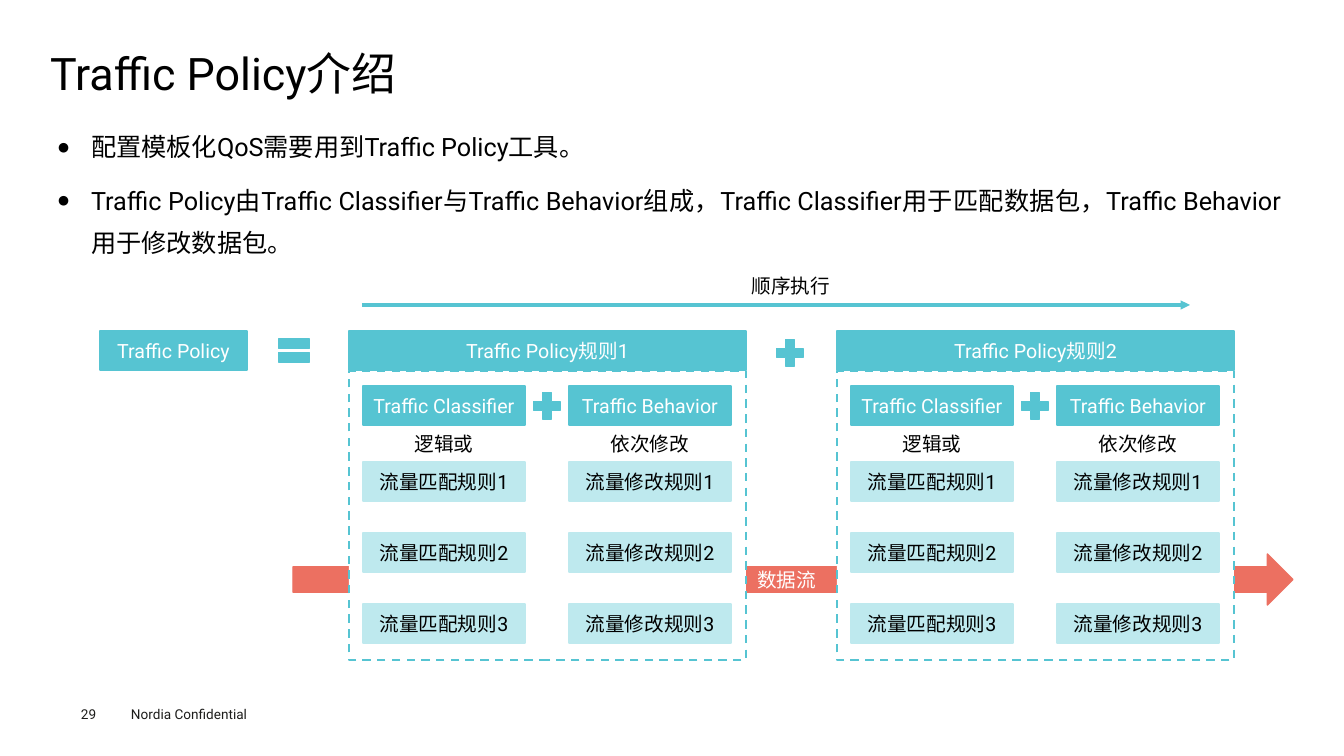
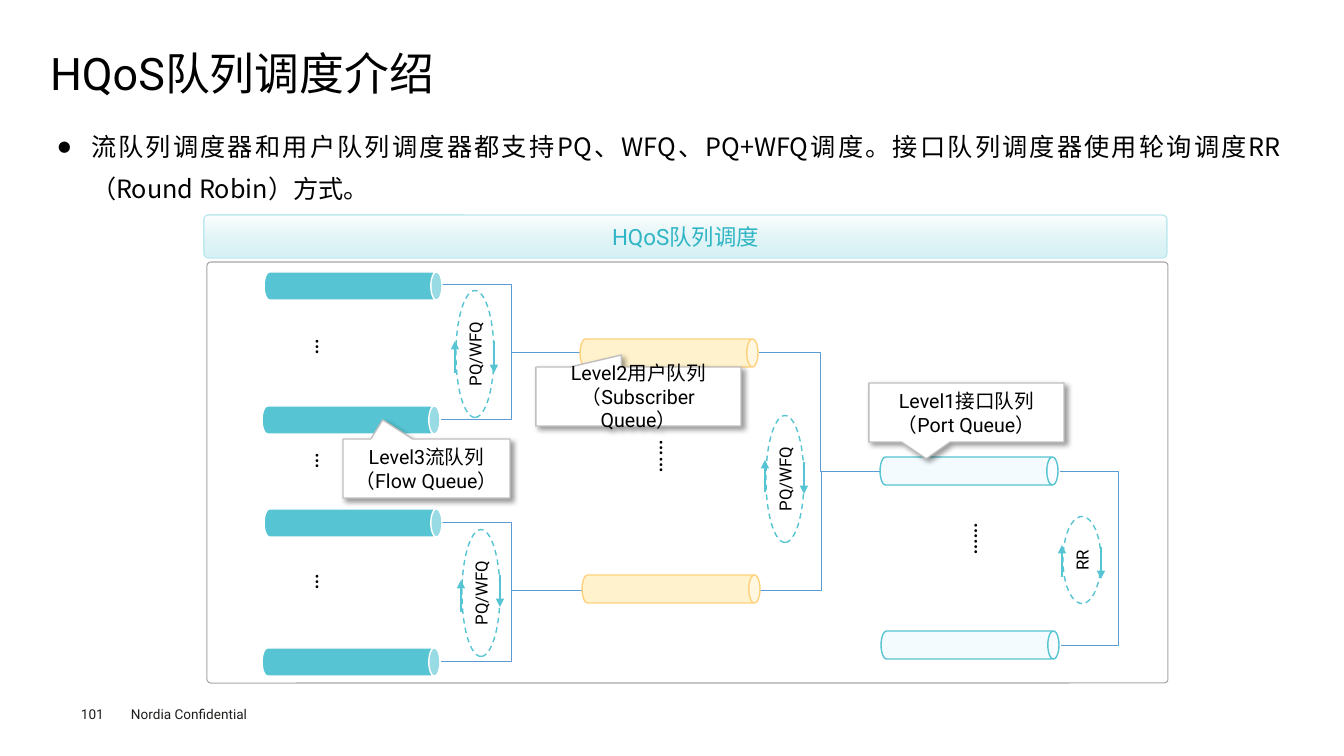
from lxml import etree
from pptx import Presentation
from pptx.dml.color import RGBColor
from pptx.enum.dml import MSO_LINE
from pptx.enum.shapes import MSO_CONNECTOR, MSO_SHAPE
from pptx.enum.text import MSO_ANCHOR, MSO_AUTO_SIZE, PP_ALIGN
from pptx.oxml.ns import qn
from pptx.util import Pt

EMU_PER_PX = 914400 / 100.8

# Shared colours and fonts
BLACK = RGBColor(0x00, 0x00, 0x00)
WHITE = RGBColor(0xFF, 0xFF, 0xFF)
FOOTER_GREY = RGBColor(0x1D, 0x1D, 0x1B)
TEAL = RGBColor(0x56, 0xC4, 0xD2)
DARK_TEAL = RGBColor(0x30, 0xB5, 0xC5)
LIGHT_TEAL = RGBColor(0xBE, 0xE9, 0xEE)
PALE_BLUE = RGBColor(0xF4, 0xFB, 0xFE)
CORAL = RGBColor(0xEC, 0x70, 0x61)
CREAM = RGBColor(0xFF, 0xF2, 0xCC)
AMBER = RGBColor(0xFF, 0xD1, 0x7D)
PANEL_GREY = RGBColor(0xA6, 0xA6, 0xA6)
CALLOUT_GREY = RGBColor(0xBF, 0xBF, 0xBF)
WIRE_BLUE = RGBColor(0x5B, 0x9B, 0xD5)
LATIN_FONT = "Roboto"
CHINESE_FONT = "Noto Sans CJK SC"

LEFT, CENTER, JUSTIFY = PP_ALIGN.LEFT, PP_ALIGN.CENTER, PP_ALIGN.JUSTIFY
TOP, MIDDLE = MSO_ANCHOR.TOP, MSO_ANCHOR.MIDDLE
RECTANGLE, ROUNDED = MSO_SHAPE.RECTANGLE, MSO_SHAPE.ROUNDED_RECTANGLE
ELLIPSE, CAN = MSO_SHAPE.OVAL, MSO_SHAPE.CAN
CALLOUT, RIGHT_ARROW = MSO_SHAPE.RECTANGULAR_CALLOUT, MSO_SHAPE.RIGHT_ARROW
PLUS, EQUAL = MSO_SHAPE.MATH_PLUS, MSO_SHAPE.MATH_EQUAL
STRAIGHT, ELBOW = MSO_CONNECTOR.STRAIGHT, MSO_CONNECTOR.ELBOW
DASH = MSO_LINE.DASH

TITLE_BOX = (50, 49, 1241, 53)
BODY_BOX = (49, 116, 1241, 538)
FOOTER_TEXT = "Nordia Confidential"
BULLET_INDENT = 33


def px(length):
    return round(length * EMU_PER_PX)


def add_xml(parent, tag, **attributes):
    element = etree.SubElement(parent, qn(tag))
    for name, value in attributes.items():
        element.set(name, str(value))
    return element


def write_text(frame, text, size=14, color=BLACK, font=LATIN_FONT, align=CENTER,
               anchor=MIDDLE, inset=(10, 5), wrap=True, spacing=None, gap=0,
               bullets=False):
    """Write one paragraph for each line of text."""
    frame.word_wrap = wrap
    frame.auto_size = MSO_AUTO_SIZE.NONE
    frame.vertical_anchor = anchor
    frame.margin_left = frame.margin_right = px(inset[0])
    frame.margin_top = frame.margin_bottom = px(inset[1])
    for index, line in enumerate(text.split("\n")):
        paragraph = frame.add_paragraph() if index else frame.paragraphs[0]
        if bullets:
            properties = paragraph._p.get_or_add_pPr()
            properties.set("marL", str(px(BULLET_INDENT)))
            properties.set("indent", str(-px(BULLET_INDENT)))
            add_xml(properties, "a:buSzPct", val=50000)
            add_xml(properties, "a:buFont", typeface=font)
            add_xml(properties, "a:buChar", char="●")
        paragraph.alignment = align
        paragraph.space_before = Pt(gap if index else 0)
        if spacing:
            paragraph.line_spacing = spacing
        run = paragraph.add_run()
        run.text = line
        run.font.size = Pt(size)
        run.font.color.rgb = color
        run.font.name = font
        add_xml(run._r.get_or_add_rPr(), "a:ea", typeface=font)


def add_text(slide, box, text, vertical=False, **text_format):
    text_box = slide.shapes.add_textbox(*map(px, box))
    write_text(text_box.text_frame, text, **text_format)
    if vertical:
        text_box.text_frame._txBody.bodyPr.set("vert", "eaVert")


def add_shape(slide, kind, box, fill=None, line=None, width=1, dash=None,
              adjust=(), rotation=0, text="", **text_format):
    shape = slide.shapes.add_shape(kind, *map(px, box))
    shape.shadow.inherit = False
    shape.rotation = rotation
    for index, value in enumerate(adjust):
        shape.adjustments[index] = value
    if fill is None:
        shape.fill.background()
    else:
        shape.fill.solid()
        shape.fill.fore_color.rgb = fill
    shape.line.color.rgb = fill if line is None else line
    shape.line.width = Pt(width)
    if dash:
        shape.line.dash_style = dash
    if text:
        write_text(shape.text_frame, text, **text_format)
    return shape


def add_line(slide, start, end, color, width, kind=STRAIGHT, arrow=False, bend_x=None):
    connector = slide.shapes.add_connector(kind, *map(px, start + end))
    connector.line.color.rgb = color
    connector.line.width = Pt(width)
    properties = connector._element.spPr
    if arrow:
        add_xml(connector.line._get_or_add_ln(), "a:tailEnd", type="triangle")
    if bend_x is not None:
        ratio = (bend_x - start[0]) / (end[0] - start[0])
        guides = properties.find(qn("a:prstGeom")).get_or_add_avLst()
        add_xml(guides, "a:gd", name="adj1", fmla=f"val {round(ratio * 100000)}")
    add_xml(properties, "a:effectLst")


# Frame shared by both slides: title, bullet list and footer
def add_content_slide(presentation, title, bullets, number, body_font=LATIN_FONT):
    slide = presentation.slides.add_slide(presentation.slide_layouts[1])
    for placeholder, box in zip(slide.placeholders, (TITLE_BOX, BODY_BOX)):
        placeholder.left, placeholder.top, placeholder.width, placeholder.height = map(px, box)
    write_text(slide.shapes.title.text_frame, title, size=32, align=LEFT,
               inset=(0, 0), spacing=0.9)
    write_text(slide.placeholders[1].text_frame, bullets, size=18, font=body_font,
               align=JUSTIFY, anchor=TOP, inset=(9, 4), spacing=Pt(30), gap=7.9,
               bullets=True)
    footer_format = {"size": 9.7, "color": FOOTER_GREY, "align": LEFT, "anchor": TOP}
    add_text(slide, (121, 701, 161, 27), FOOTER_TEXT, **footer_format)
    add_text(slide, (81, 706, 55, 16), str(number), inset=(0, 0), **footer_format)
    return slide


def add_block(slide, box, text, fill=TEAL, color=WHITE):
    add_shape(slide, RECTANGLE, box, fill, text=text, color=color, inset=(4, 4))


# One rule: header, dashed frame and two columns of entries
def add_policy_rule(slide, box, title):
    left, top, width, height = box
    header_height, column_width = 39, 162
    add_shape(slide, RECTANGLE, (left, top + 40, width, height - 40), WHITE, TEAL,
              1.5, DASH)
    add_block(slide, (left, top, width, header_height), title)
    columns = ((14, "Traffic Classifier", "逻辑或", "流量匹配规则"),
               (220, "Traffic Behavior", "依次修改", "流量修改规则"))
    for offset, heading, label, entry in columns:
        x = left + offset
        add_block(slide, (x, top + 55, column_width, header_height), heading)
        add_text(slide, (x, top + 93, column_width, header_height), label)
        for row in range(3):
            add_block(slide, (x, top + 131 + 71 * row, column_width, header_height),
                      f"{entry}{row + 1}", LIGHT_TEAL, BLACK)
    add_shape(slide, PLUS, (left + 180, top + 57, 36, 36), TEAL)


def add_policy_diagram(slide, box):
    left, top, width, height = box
    # Data flow behind the rules
    add_shape(slide, RIGHT_ARROW, (left + 193, top + 223, 1000, 51), CORAL,
              text="数据流", color=WHITE)
    # Execution order
    add_text(slide, (left + 641, top - 62, 100, 34), "顺序执行", font=CHINESE_FONT,
             wrap=False)
    add_line(slide, (left + 262, top - 26), (left + 1090, top - 26), TEAL, 2.25, arrow=True)
    # Policy = rule 1 + rule 2
    add_block(slide, (left, top, 147, 39), "Traffic Policy")
    add_shape(slide, EQUAL, (left + 173, top, 42, 39), TEAL)
    for index in range(2):
        add_policy_rule(slide, (left + 249 + 488 * index, top, 397, height),
                        f"Traffic Policy规则{index + 1}")
    add_shape(slide, PLUS, (left + 672, top + 4, 36, 36), TEAL)


# A queue lies on its side: the upright can is turned about its centre
def add_queue(slide, left, middle, fill, line):
    length, thickness = 178, 28
    box = (left + (length - thickness) / 2, middle - length / 2, thickness, length)
    add_shape(slide, CAN, box, fill, line, adjust=(0.4,), rotation=90)


def add_scheduler(slide, center_x, center_y, text, length, up_shift, down_shift):
    thickness, reach = 38, 16
    box = (center_x - length / 2, center_y - thickness / 2, length, thickness)
    add_shape(slide, ELLIPSE, box, None, TEAL, dash=DASH, rotation=270,
              text=text, size=12, inset=(0, 0))
    for x, middle, direction in ((center_x - 20, center_y + up_shift, -1),
                                 (center_x + 19, center_y + down_shift, 1)):
        add_line(slide, (x, middle - direction * reach), (x, middle + direction * reach),
                 TEAL, 1.5, arrow=True)


def add_callout(slide, box, tip, text):
    shape = add_shape(slide, CALLOUT, box, WHITE, CALLOUT_GREY, adjust=tip, text=text)
    effects = shape._element.spPr.find(qn("a:effectLst"))
    shadow = add_xml(effects, "a:outerShdw", blurRad=Pt(4), dist=Pt(3), dir=45 * 60000,
                     algn="tl", rotWithShape=0)
    add_xml(add_xml(shadow, "a:srgbClr", val=BLACK), "a:alpha", val=40000)


def add_gradient_header(slide, box, text):
    header = add_shape(slide, ROUNDED, box, WHITE, LIGHT_TEAL, adjust=(0.106,),
                       text=text, size=16, color=DARK_TEAL, inset=(0, 0))
    header.fill.gradient()
    header.fill.gradient_angle = 270
    for stop, color in zip(header.fill.gradient_stops, (WHITE, LIGHT_TEAL)):
        stop.color.rgb = color
    gradient = header._element.spPr.find(qn("a:gradFill"))
    add_xml(list(gradient.iter(qn("a:srgbClr")))[-1], "a:alpha", val=60000)


def add_queue_diagram(slide, box):
    left, top, width, height = box
    # Panel and header
    add_shape(slide, ROUNDED, (left + 3, top + 47, width - 2, height - 47), None,
              PANEL_GREY, 0.75, adjust=(0.009,))
    add_gradient_header(slide, (left, top, width, 43), "HQoS队列调度")
    # Wires between levels
    wires = ((237, 69, 377, 137, None), (237, 204, 377, 137, None),
             (237, 307, 378, 375, None), (237, 446, 378, 375, None),
             (555, 137, 678, 256, None), (556, 375, 678, 256, None),
             (856, 256, 857, 430, 915))
    for x1, y1, x2, y2, bend in wires:
        add_line(slide, (left + x1, top + y1), (left + x2, top + y2), WIRE_BLUE, 0.5,
                 ELBOW, bend_x=None if bend is None else left + bend)
    # Vertical ellipses
    for x, y, dots_height, dots in ((97, 119, 41, "…"), (97, 232, 49, "…"),
                                    (97, 353, 44, "…"), (441, 220, 85, "……"),
                                    (756, 302, 89, "……")):
        add_text(slide, (left + x, top + y, 50, dots_height), dots, vertical=True,
                 size=18, anchor=TOP)
    # Schedulers
    for x, y, text, length, up, down in ((271, 139, "PQ/WFQ", 127, 3, 3),
                                         (277, 378, "PQ/WFQ", 127, 3, -2),
                                         (581, 264, "PQ/WFQ", 127, -3, -1),
                                         (878, 345, "RR", 87, 1, 3)):
        add_scheduler(slide, left + x, top + y, text, length, up, down)
    # Queues of the three levels
    levels = ((TEAL, WHITE, ((60, 71), (58, 205), (60, 308), (58, 447))),
              (CREAM, AMBER, ((376, 138), (378, 374))),
              (PALE_BLUE, TEAL, ((676, 256), (677, 430))))
    for fill, line, places in levels:
        for x, y in places:
            add_queue(slide, left + x, top + y, fill, line)
    # Level names
    callouts = ((139, 224, 167, (-0.262, -0.824), "Level3流队列（Flow Queue）"),
                (332, 152, 205, (-0.083, -0.704), "Level2用户队列（Subscriber Queue）"),
                (665, 168, 195, (-0.206, 0.784), "Level1接口队列（Port Queue）"))
    for x, y, callout_width, tip, text in callouts:
        add_callout(slide, (left + x, top + y, callout_width, 59), tip, text)


def main():
    presentation = Presentation()
    presentation.slide_width, presentation.slide_height = px(1344), px(756)
    policy_slide = add_content_slide(
        presentation, "Traffic Policy介绍",
        "配置模板化QoS需要用到Traffic Policy工具。\n"
        "Traffic Policy由Traffic Classifier与Traffic Behavior组成，"
        "Traffic Classifier用于匹配数据包，Traffic Behavior用于修改数据包。", 29)
    add_policy_diagram(policy_slide, (100, 331, 1193, 329))
    queue_slide = add_content_slide(
        presentation, "HQoS队列调度介绍",
        "流队列调度器和用户队列调度器都支持PQ、WFQ、PQ+WFQ调度。"
        "接口队列调度器使用轮询调度RR（Round Robin）方式。", 101, CHINESE_FONT)
    add_queue_diagram(queue_slide, (204, 215, 963, 468))
    presentation.save("out.pptx")


if __name__ == "__main__":
    main()
